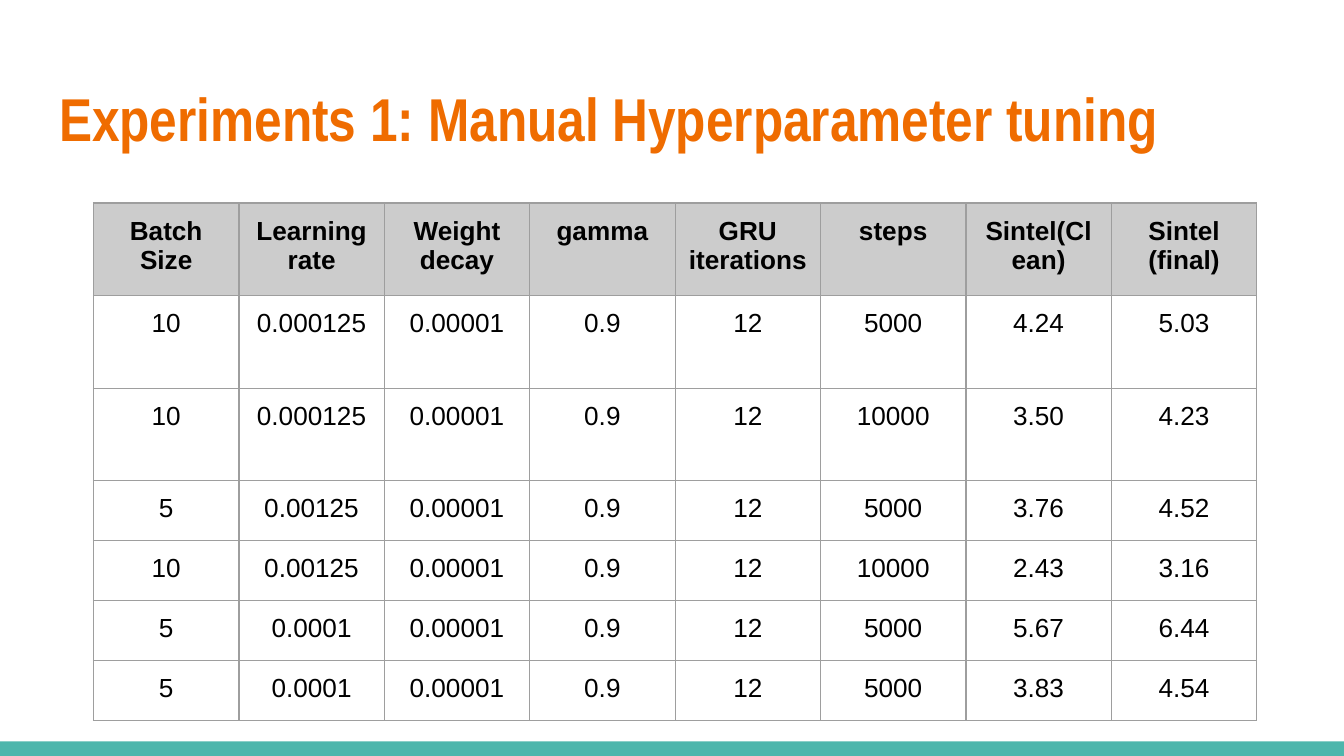
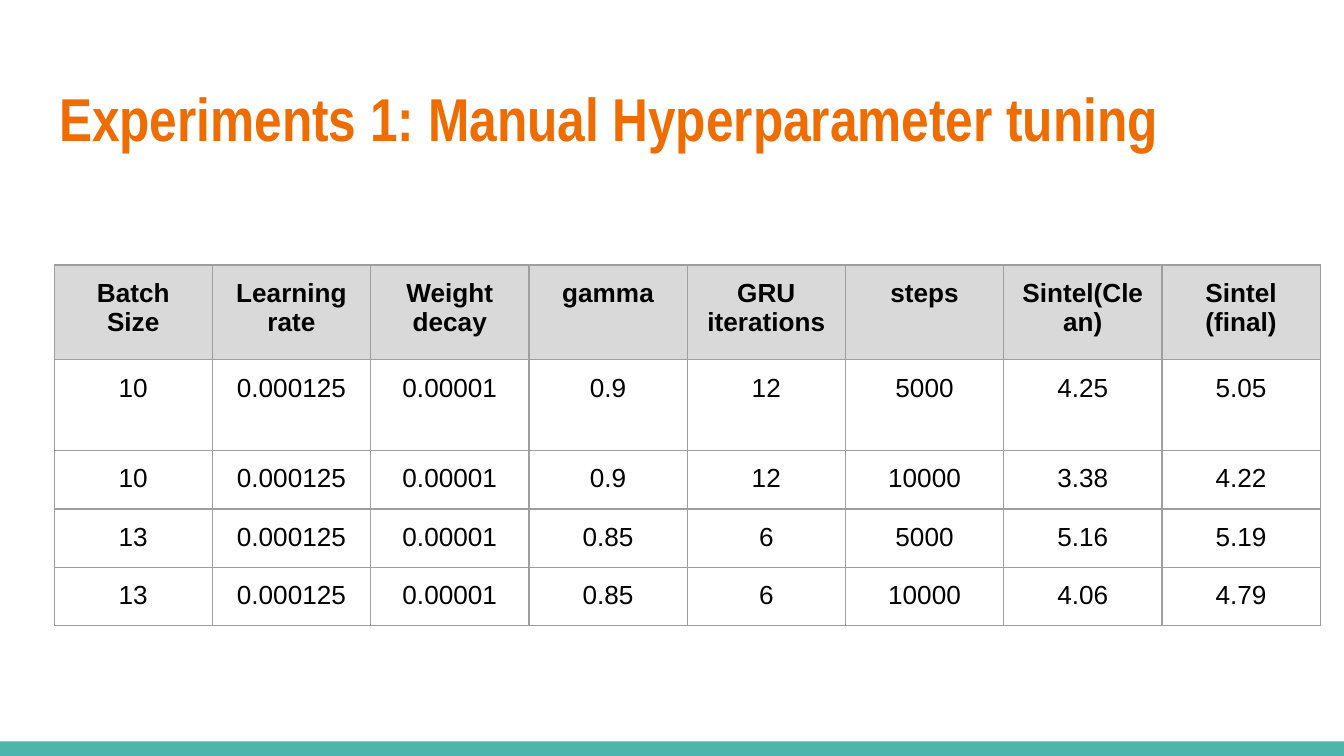
"""Build two slides of manual hyperparameter tuning results."""
from lxml import etree
from pptx import Presentation
from pptx.dml.color import RGBColor
from pptx.enum import shapes, text
from pptx.oxml import ns
from pptx.util import Pt

COLORS = {
    "title": "EF6C00",
    "band": "4DB6AC",
    "text": "000000",
    "border": "9E9E9E",
    "header_dark": "CCCCCC",
    "header_light": "D9D9D9",
}
TITLE = "Experiments 1: Manual Hyperparameter tuning"
HEADER = ["Batch Size", "Learning rate", "Weight decay", "gamma",
          "GRU iterations", "steps", "Sintel(Clean)", "Sintel (final)"]
INSET = Pt(7.2)

experiments = [
    {
        "left": 50.1, "top": 108.8, "column": 77.9, "header": "header_dark",
        "heights": [49.6] * 3 + [32.15] * 4,
        "runs": [
            ["10", "0.000125", "0.00001", "0.9", "12", "5000", "4.24", "5.03"],
            ["10", "0.000125", "0.00001", "0.9", "12", "10000", "3.50", "4.23"],
            ["5", "0.00125", "0.00001", "0.9", "12", "5000", "3.76", "4.52"],
            ["10", "0.00125", "0.00001", "0.9", "12", "10000", "2.43", "3.16"],
            ["5", "0.0001", "0.00001", "0.9", "12", "5000", "5.67", "6.44"],
            ["5", "0.0001", "0.00001", "0.9", "12", "5000", "3.83", "4.54"],
        ],
    },
    {
        "left": 29, "top": 142, "column": 84.8, "header": "header_light",
        "heights": [50.8, 48.7] + [30.5] * 3,
        "runs": [
            ["10", "0.000125", "0.00001", "0.9", "12", "5000", "4.25", "5.05"],
            ["10", "0.000125", "0.00001", "0.9", "12", "10000", "3.38", "4.22"],
            ["13", "0.000125", "0.00001", "0.85", "6", "5000", "5.16", "5.19"],
            ["13", "0.000125", "0.00001", "0.85", "6", "10000", "4.06", "4.79"],
        ],
    },
]


def style(paragraph, face, size, color, bold):
    font = paragraph.runs[0].font
    font.name, font.size, font.bold = face, Pt(size), bold
    font.color.rgb = RGBColor.from_string(COLORS[color])


def add_borders(cell):
    properties = cell._tc.get_or_add_tcPr()
    for index, side in enumerate(("lnL", "lnR", "lnT", "lnB")):
        line = etree.Element(ns.qn(f"a:{side}"), w=str(Pt(0.75)))
        fill = etree.SubElement(line, ns.qn("a:solidFill"))
        etree.SubElement(fill, ns.qn("a:srgbClr"), val=COLORS["border"])
        properties.insert(index, line)


prs = Presentation()
prs.slide_width, prs.slide_height = Pt(720), Pt(405)

for experiment in experiments:
    slide = prs.slides.add_slide(prs.slide_layouts[6])

    band = slide.shapes.add_shape(
        shapes.MSO_SHAPE.RECTANGLE, 0, Pt(397.2), prs.slide_width, Pt(7.8))
    band.shadow.inherit = False
    band.fill.solid()
    band.fill.fore_color.rgb = RGBColor.from_string(COLORS["band"])
    band.line.fill.background()

    title = slide.shapes.add_textbox(Pt(24.6), Pt(35.4), Pt(671), Pt(55.4)).text_frame
    title.word_wrap = True
    title.vertical_anchor = text.MSO_ANCHOR.MIDDLE
    title.margin_left = title.margin_right = INSET
    title.margin_top = title.margin_bottom = INSET
    title.text = TITLE
    style(title.paragraphs[0], "Arial Narrow", 32.4, "title", True)

    rows = [HEADER] + experiment["runs"]
    results = slide.shapes.add_table(
        len(rows), len(HEADER), Pt(experiment["left"]), Pt(experiment["top"]),
        Pt(experiment["column"] * len(HEADER)), Pt(sum(experiment["heights"]))).table
    results.horz_banding = False
    for column in results.columns:
        column.width = Pt(experiment["column"])

    for r, values in enumerate(rows):
        results.rows[r].height = Pt(experiment["heights"][r])
        for c, value in enumerate(values):
            cell = results.cell(r, c)
            cell.margin_left = cell.margin_right = INSET
            cell.margin_top = cell.margin_bottom = INSET
            if r == 0:
                cell.fill.solid()
                cell.fill.fore_color.rgb = RGBColor.from_string(COLORS[experiment["header"]])
            else:
                cell.fill.background()
            add_borders(cell)
            cell.text_frame.text = value
            paragraph = cell.text_frame.paragraphs[0]
            paragraph.alignment = text.PP_ALIGN.CENTER
            style(paragraph, "Arial", 14, "text", r == 0)

prs.save("out.pptx")
